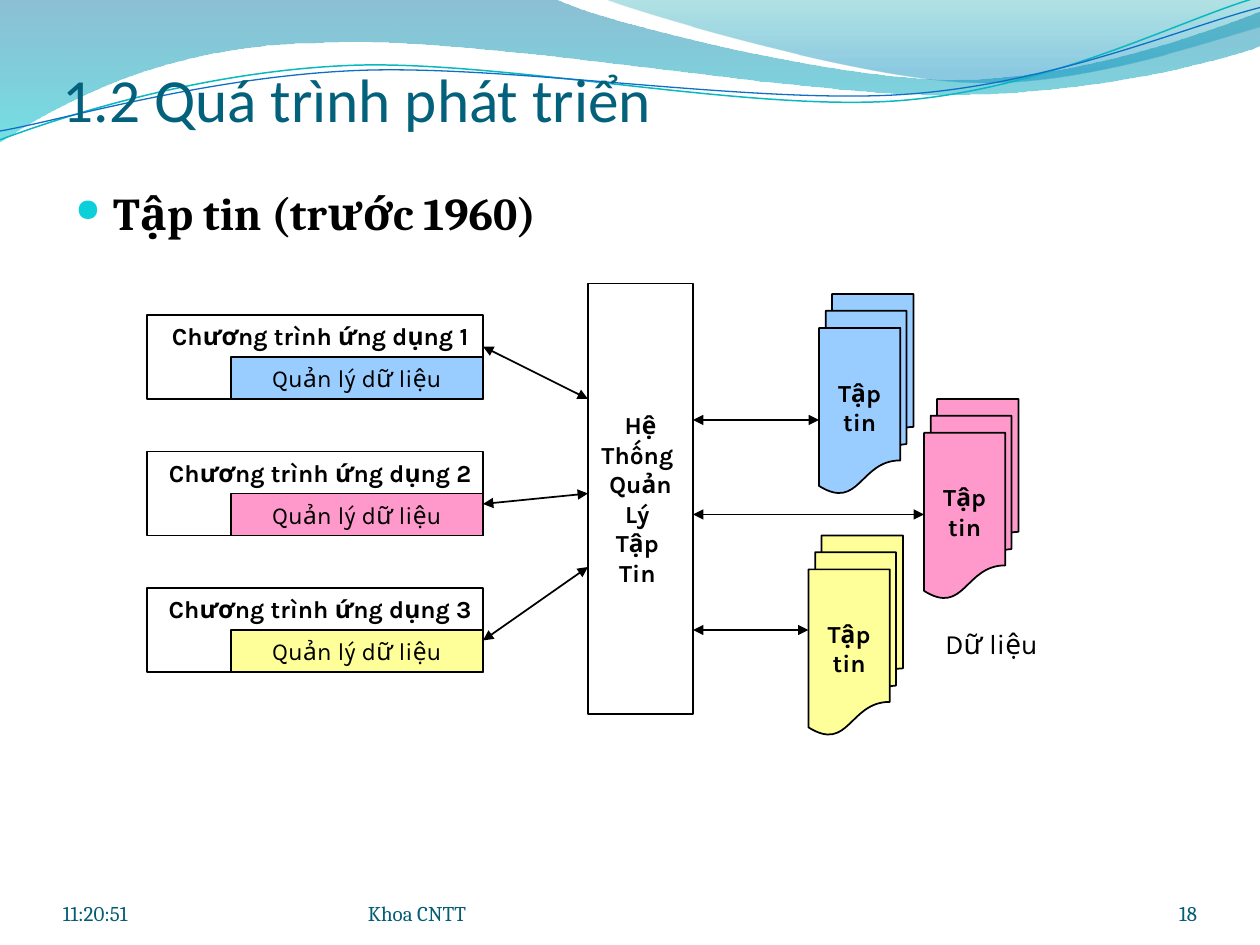
"""Builds the slide on the file stage in the history of databases."""
import pptx
import pptx.dml.color
import pptx.enum.shapes
import pptx.enum.text
import pptx.oxml.ns
import pptx.util
from lxml import etree

Inches = pptx.util.Inches
Pt = pptx.util.Pt
SHAPES = pptx.enum.shapes.MSO_SHAPE
ALIGN = pptx.enum.text.PP_ALIGN
ANCHOR = pptx.enum.text.MSO_ANCHOR


def rgb(value):
    return pptx.dml.color.RGBColor.from_string(value)


def grid(*units):
    return [unit / 12 for unit in units]


def add_xml(parent, tag, **attributes):
    return etree.SubElement(parent, pptx.oxml.ns.qn(tag), attributes)


def write(frame, text, size=14, font="Karla", color="000000", bold=False, align=ALIGN.CENTER,
          anchor=ANCHOR.TOP, wrap=True, insets=None, bullet=None):
    frame.word_wrap = wrap
    frame.vertical_anchor = anchor
    if insets:
        frame.margin_left, frame.margin_top, frame.margin_right, frame.margin_bottom = map(Inches, insets)
    for index, line in enumerate(text.split("\n")):
        paragraph = frame.add_paragraph() if index else frame.paragraphs[0]
        paragraph.alignment = align
        if bullet:
            properties = paragraph._p.get_or_add_pPr()
            properties.set("marL", str(Inches(0.3)))
            properties.set("indent", str(-Inches(0.3)))
            add_xml(add_xml(properties, "a:buClr"), "a:srgbClr", val=bullet)
            add_xml(properties, "a:buSzPct", val="70000")
            add_xml(properties, "a:buChar", char="●")
        run = paragraph.add_run()
        run.text = line
        run.font.name, run.font.size, run.font.bold = font, Pt(size), bold
        run.font.color.rgb = rgb(color)


class Diagram:
    """Holds the current slide and the style its elements share."""

    ink = "000000"
    line_width = 1
    footer_color = "045D75"

    def __init__(self, slide):
        self.slide = slide

    def label(self, box, text, **style):
        area = self.slide.shapes.add_textbox(*map(Inches, box))
        write(area.text_frame, text, **style)

    def footer(self, left, width, text, align=ALIGN.LEFT):
        self.label((left, 6.95, width, 0.4), text, size=12, font="Cambria", color=self.footer_color,
                   align=align, anchor=ANCHOR.BOTTOM, insets=(0, 0, 0, 0))

    def block(self, box, text="", fill=None, kind=SHAPES.RECTANGLE, bold=False):
        shape = self.slide.shapes.add_shape(kind, *map(Inches, box))
        shape.shadow.inherit = False
        if fill:
            shape.fill.solid()
            shape.fill.fore_color.rgb = rgb(fill)
        else:
            shape.fill.background()
        shape.line.color.rgb = rgb(self.ink)
        shape.line.width = Pt(self.line_width)
        if text:
            write(shape.text_frame, text, bold=bold, anchor=ANCHOR.MIDDLE, wrap=False)

    def arrow(self, *ends):
        link = self.slide.shapes.add_connector(pptx.enum.shapes.MSO_CONNECTOR.STRAIGHT,
                                               *map(Inches, grid(*ends)))
        link.line.color.rgb = rgb(self.ink)
        link.line.width = Pt(self.line_width)
        outline = link.line._get_or_add_ln()
        for end in ("a:headEnd", "a:tailEnd"):
            add_xml(outline, end, type="triangle")
        add_xml(link._element.spPr, "a:effectLst")

    def curve(self, start, segments, closed):
        builder = self.slide.shapes.build_freeform(*map(Inches, start))
        corners = [segment[i:i + 2] for segment in segments for i in range(0, len(segment), 2)]
        builder.add_line_segments([tuple(map(Inches, corner)) for corner in corners], close=closed)
        shape = builder.convert_to_shape()
        shape.shadow.inherit = False
        steps = iter(list(shape._element.spPr.iter(pptx.oxml.ns.qn("a:lnTo"))))
        for segment in segments:
            first = next(steps)
            if len(segment) == 6:
                bend = etree.Element(pptx.oxml.ns.qn("a:cubicBezTo"))
                first.addprevious(bend)
                for step in (first, next(steps), next(steps)):
                    bend.append(step[0])
                    step.getparent().remove(step)
        return shape

    def wave(self, start, segments, stops):
        shape = self.curve(start, segments, True)
        shape.line.fill.background()
        shape.fill.gradient()
        shape.fill.gradient_angle = 270
        for stop, (position, color, _) in zip(shape.fill.gradient_stops, stops):
            stop.position = position
            stop.color.rgb = rgb(color)
        tints = shape._element.spPr.iter(pptx.oxml.ns.qn("a:srgbClr"))
        for tint, (_, _, opacity) in zip(tints, stops):
            add_xml(tint, "a:alpha", val=str(opacity * 1000))

    def strand(self, start, segments, color, width):
        shape = self.curve(start, segments, False)
        shape.fill.background()
        shape.line.color.rgb = rgb(color)
        shape.line.width = Pt(width)


def main():
    deck = pptx.Presentation()
    deck.slide_width, deck.slide_height = Inches(10), Inches(7.5)
    diagram = Diagram(deck.slides.add_slide(deck.slide_layouts[6]))

    diagram.wave((0, -0.01), [
        (4.4, -0.01), (4.76, 0.17, 6.64, 0.63, 7.58, 0.63), (8.53, 0.63, 9.58, 0.26, 10, 0.09),
        (10.01, 0.36), (9.83, 0.44, 8.7, 0.76, 7.46, 0.75), (6.22, 0.75, 3.82, 0.28, 2.57, 0.34),
        (1.29, 0.35, 0.46, 0.83, -0.01, 1.13)], [(0, "0074A1", 45), (1, "00C6CF", 55)])
    diagram.wave((4.79, -0.01), [
        (5.09, 0.11, 6.82, 0.62, 7.69, 0.65), (8.56, 0.69, 9.61, 0.32, 10, 0.21), (10, 0)],
        [(0, "00A1A9", 30), (0.8, "008BBF", 45)])
    diagram.strand((0, 1.11), [
        (0.48, 0.93, 1.58, 0.57, 2.77, 0.52), (3.95, 0.47, 5.93, 0.89, 7.13, 0.8),
        (8.33, 0.71, 9.38, 0.15, 9.98, -0.02)], "0AB8BF", 0.85)
    diagram.strand((0, 1.04), [
        (0.47, 0.96, 1.64, 0.61, 2.83, 0.56), (4.03, 0.51, 5.97, 0.83, 7.17, 0.75),
        (8.36, 0.67, 9.41, 0.21, 10, 0.06)], "0F6FC6", 0.75)

    diagram.label((0.5, 0.39, 9, 0.68), "1.2 Quá trình phát triển", size=35, font="Calibri",
                  color="04617B", align=ALIGN.LEFT, anchor=ANCHOR.BOTTOM, insets=(0, 0.05, 0, 0))
    diagram.label((0.5, 1.42, 9, 5.29), "Tập tin (trước 1960)", size=26, font="Cambria", bold=True,
                  align=ALIGN.LEFT, bullet="0BD0D9")

    diagram.block(grid(56, 27, 10, 41), "Hệ\nThống \nQuản\nLý \nTập \nTin ", bold=True)
    blue, pink, yellow = "99CCFF", "FF99CC", "FFFF99"
    for index, color in enumerate([blue, pink, yellow]):
        top = 30 + 13 * index
        diagram.block(grid(14, top, 32, 8))
        diagram.label(grid(14, top, 33, 4), f"Chương trình ứng dụng {index + 1}", bold=True)
        diagram.block(grid(22, top + 4, 24, 4), "Quản lý dữ liệu", color)
    for left, top, color in [(88, 38, pink), (78, 28, blue), (77, 51, yellow)]:
        diagram.block(grid(left, top, 9, 19), "Tập\ntin", color, SHAPES.FLOWCHART_MULTIDOCUMENT, True)
    for program_y, system_y in [(33, 38), (61, 54), (48, 47)]:
        diagram.arrow(46, program_y, 56, system_y)
    for file_x, y in [(78, 40), (77, 60), (88, 49)]:
        diagram.arrow(66, y, file_x, y)
    diagram.label((7.33, 4.92, 1.08, 0.37), "Dữ liệu", size=16)

    diagram.footer(2.92, 3.67, "Khoa CNTT")
    diagram.footer(0.5, 2.33, "11:20:51")
    diagram.footer(8.67, 0.83, "18", ALIGN.RIGHT)
    deck.save("out.pptx")


if __name__ == "__main__":
    main()
